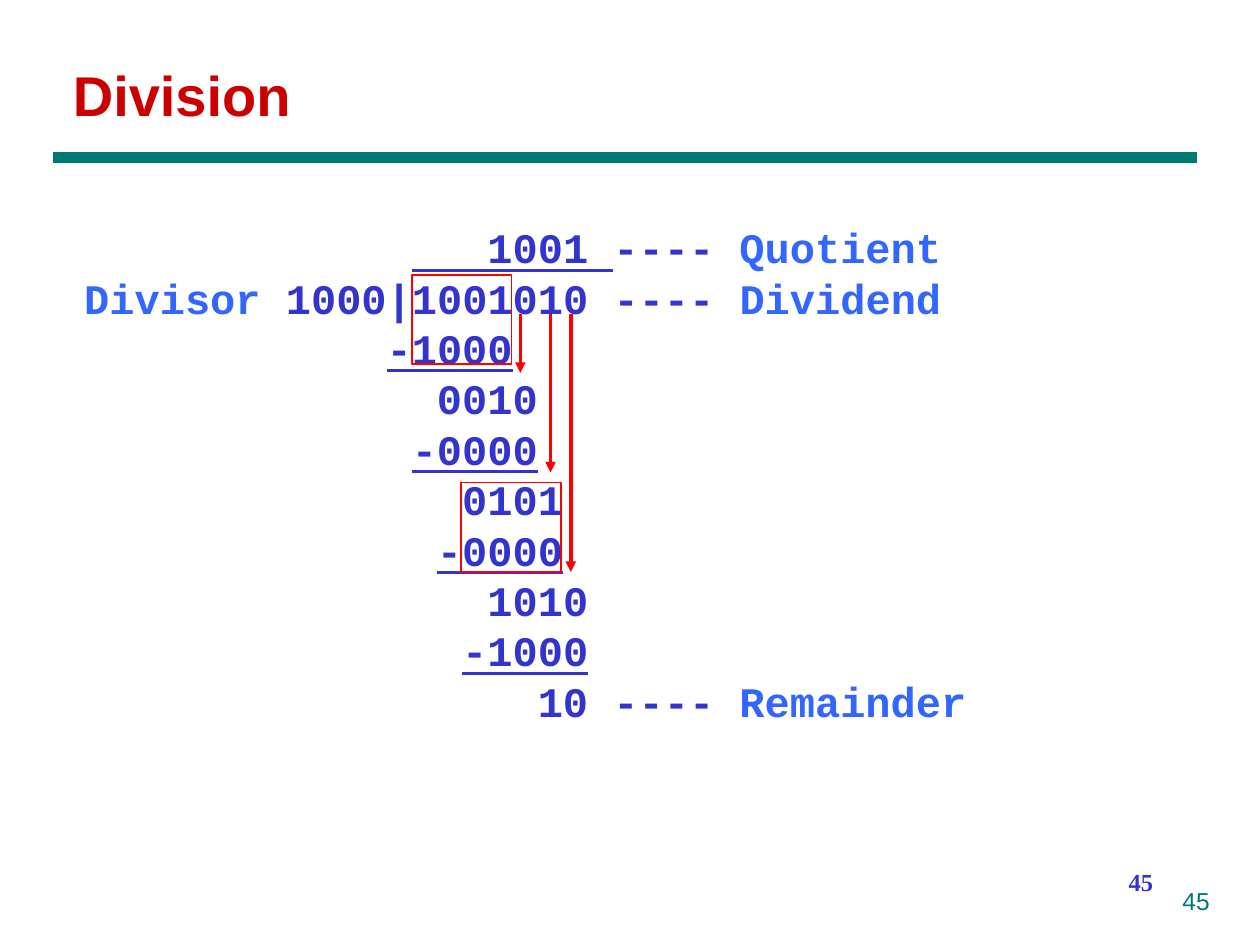
"""Build a slide that works through a binary long division."""
from dataclasses import dataclass

from lxml.etree import SubElement
from pptx import Presentation
from pptx.dml.color import RGBColor
from pptx.enum.shapes import MSO_CONNECTOR as Connector, MSO_SHAPE as Shape
from pptx.enum.text import PP_ALIGN as Align
from pptx.oxml.ns import qn
from pptx.util import Inches, Pt

COLORS = {"blue": "3333CD", "label": "3366FF", "title": "CC0000",
          "teal": "007A77", "red": "FF0000"}
CHAR_WIDTH = 0.2


@dataclass(frozen=True)
class Span:
    text: str
    color: str = "blue"
    underline: bool = False


@dataclass(frozen=True)
class Row:
    spans: tuple[Span, ...]
    indent: int = 0


@dataclass(frozen=True)
class TextBox:
    left: float
    top: float
    width: float
    height: float
    rows: tuple[Row, ...]
    size: int
    font: str
    bold: bool = True
    align: Align = Align.LEFT


@dataclass(frozen=True)
class Line:
    start: tuple[float, float]
    end: tuple[float, float]
    color: str
    width: float
    arrow: bool = False


def step(indent: int, digits: str, underline: bool = False) -> Row:
    return Row((Span(digits, underline=underline),), indent)


DIVISION = (
    Row((Span("   1001 ", underline=True), Span("---- "), Span("Quotient", "label")), 13),
    Row((Span("Divisor", "label"), Span(" 1000|1001010 ---- "), Span("Dividend", "label"))),
    step(12, "-1000", True),
    step(14, "0010"),
    step(13, "-0000", True),
    step(15, "0101"),
    step(14, "-0000", True),
    step(16, "1010"),
    step(15, "-1000", True),
    Row((Span("10 ---- "), Span("Remainder", "label")), 18),
)
TITLE = TextBox(0.48, 0.43, 1.94, 0.64, (Row((Span("Division", "title"),)),), 32, "Arial")
WORKING = TextBox(0.57, 1.71, 7.26, 4.14, DIVISION, 24, "Courier New")
INNER_NUMBER = TextBox(7.17, 6.83, 2.08, 0.5, (Row((Span("45"),)),), 14,
                       "Times New Roman", align=Align.RIGHT)
OUTER_NUMBER = TextBox(7.2, 6.98, 2.5, 0.52, (Row((Span("45", "teal"),)),), 14,
                       "Arial", bold=False, align=Align.RIGHT)
TITLE_RULE = Line((0.42, 1.25), (9.5, 1.25), "teal", 6)
BRING_DOWNS = ((4.13, 2.96), (4.37, 3.75), (4.53, 4.54))
FRAMES = ((3.27, 2.18), (3.66, 3.83))


def rgb(name: str) -> RGBColor:
    return RGBColor.from_string(COLORS[name])


def draw_text(page, spec_box: TextBox) -> None:
    box = page.shapes.add_textbox(Inches(spec_box.left), Inches(spec_box.top),
                                  Inches(spec_box.width), Inches(spec_box.height))
    frame = box.text_frame
    frame.word_wrap = True
    for number, row in enumerate(spec_box.rows):
        para = frame.add_paragraph() if number else frame.paragraphs[0]
        para.alignment = spec_box.align
        if row.indent:
            para._p.get_or_add_pPr().set("marL", str(Inches(row.indent * CHAR_WIDTH)))
        for span in row.spans:
            run = para.add_run()
            run.text = span.text
            run.font.name = spec_box.font
            run.font.size = Pt(spec_box.size)
            run.font.bold = spec_box.bold
            run.font.underline = span.underline
            run.font.color.rgb = rgb(span.color)


def draw_line(page, line: Line) -> None:
    connector = page.shapes.add_connector(
        Connector.STRAIGHT, *(Inches(value) for value in line.start + line.end))
    connector.line.color.rgb = rgb(line.color)
    connector.line.width = Pt(line.width)
    if line.arrow:
        SubElement(connector.line._get_or_add_ln(), qn("a:tailEnd"), type="triangle")
    SubElement(connector._element.spPr, qn("a:effectLst"))


def draw_frame(page, left: float, top: float) -> None:
    box = page.shapes.add_shape(Shape.RECTANGLE, Inches(left), Inches(top),
                                Inches(0.79), Inches(0.71))
    box.shadow.inherit = False
    box.fill.background()
    box.line.color.rgb = rgb("red")
    box.line.width = Pt(1)


def main() -> None:
    deck = Presentation()
    deck.slide_width, deck.slide_height = Inches(10), Inches(7.5)
    page = deck.slides.add_slide(deck.slide_layouts[6])
    draw_text(page, INNER_NUMBER)
    draw_text(page, TITLE)
    draw_line(page, TITLE_RULE)
    draw_text(page, WORKING)
    for x, bottom in BRING_DOWNS:
        draw_line(page, Line((x, 2.49), (x, bottom), "red", 2, arrow=True))
    for left, top in FRAMES:
        draw_frame(page, left, top)
    draw_text(page, OUTER_NUMBER)
    deck.save("out.pptx")


if __name__ == "__main__":
    main()
